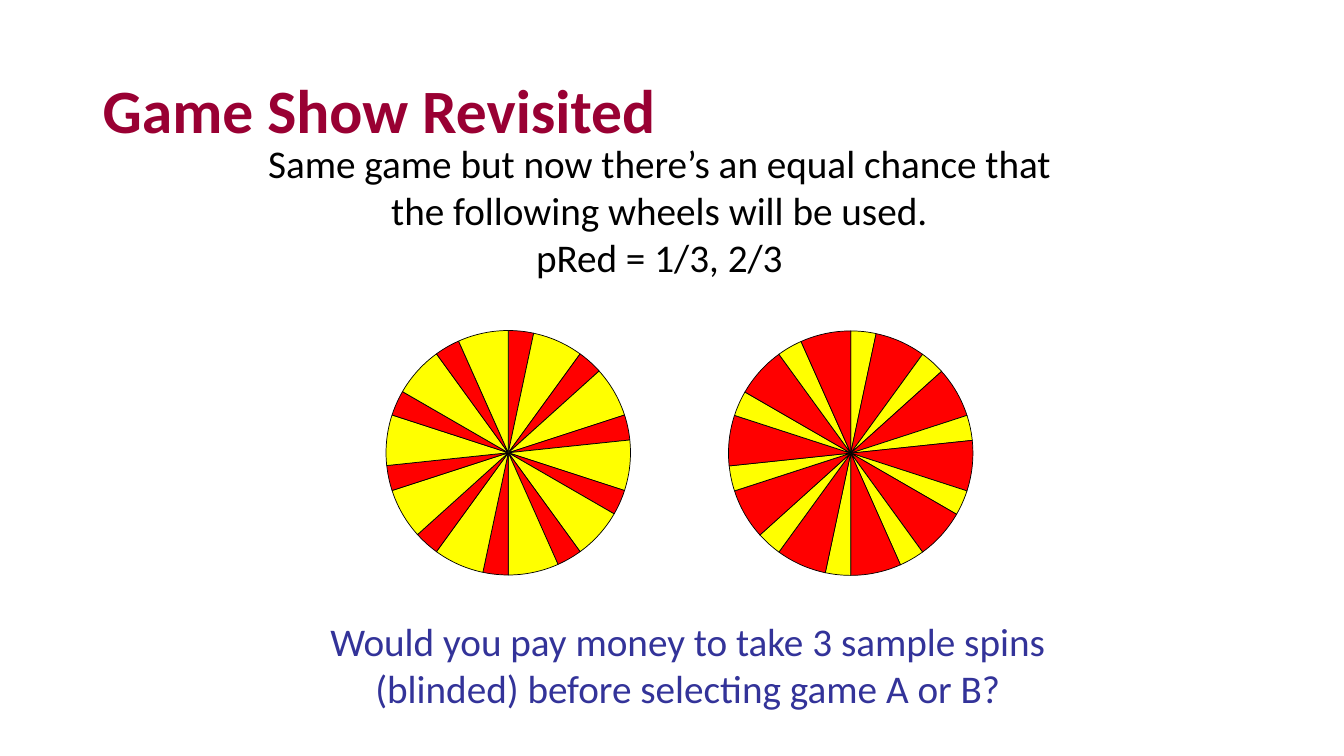
from math import cos, radians, sin

from pptx import Presentation
from pptx.dml.color import RGBColor
from pptx.enum.text import MSO_ANCHOR as Anchor, PP_ALIGN as Align
from pptx.util import Cm, Pt

RED = RGBColor(0xFF, 0x00, 0x00)
YELLOW = RGBColor(0xFF, 0xFF, 0x00)
BLACK = RGBColor(0x00, 0x00, 0x00)
WINE = RGBColor(0x99, 0x00, 0x33)
INDIGO = RGBColor(0x33, 0x33, 0x99)
FONT = "Calibri"

# Content: lines, place (left, top, width, height in cm), size, colour
TITLE = (["Game Show Revisited"], (2.34, 1.02, 29.21, 3.68), 44, WINE)
SETUP = (
    ["Same game but now there’s an equal chance that the following wheels will be used.",
     "pRed = 1/3, 2/3"],
    (5.92, 3.38, 21.39, 3.81), 28, BLACK)
ASK = (
    ["Would you pay money to take 3 sample spins (blinded) before selecting game A or B?"],
    (6.55, 15.42, 21.56, 2.79), 28, INDIGO)

# Wheels: centre x and y in cm, narrow colour, wide colour
WHEELS = [(12.81, 11.41, RED, YELLOW), (21.44, 11.42, YELLOW, RED)]
RADIUS = 3.08
PAIRS = 10
NARROW, WIDE = 12, 24  # degrees
STEP = 2


def add_text(slide, lines, place, size, color, align=Align.CENTER):
    frame = slide.shapes.add_textbox(*map(Cm, place)).text_frame
    frame.word_wrap = True
    frame.text = "\n".join(lines)
    for para in frame.paragraphs:
        para.alignment = align
        font = para.runs[0].font
        font.name, font.size = FONT, Pt(size)
        font.color.rgb = color
    return frame


def add_wedge(group, x, y, start, sweep, color):
    """Angles run clockwise from the top."""
    turns = [radians(a) for a in range(start, start + sweep + 1, STEP)]
    arc = [(Cm(x + RADIUS * sin(t)), Cm(y - RADIUS * cos(t))) for t in turns]
    pen = group.shapes.build_freeform(Cm(x), Cm(y))
    pen.add_line_segments(arc, close=True)
    wedge = pen.convert_to_shape()
    wedge.shadow.inherit = False
    wedge.fill.solid()
    wedge.fill.fore_color.rgb = color
    wedge.line.color.rgb = BLACK
    wedge.line.width = Pt(0.5)


def add_wheel(slide, x, y, thin, broad):
    group = slide.shapes.add_group_shape()
    for pair in range(PAIRS):
        start = pair * (NARROW + WIDE)
        add_wedge(group, x, y, start, NARROW, thin)
        add_wedge(group, x, y, start + NARROW, WIDE, broad)


def main():
    deck = Presentation()
    deck.slide_width, deck.slide_height = Cm(33.87), Cm(19.05)
    slide = deck.slides.add_slide(deck.slide_layouts[6])

    # Title
    title = add_text(slide, *TITLE, align=Align.LEFT)
    title.vertical_anchor = Anchor.MIDDLE
    title.paragraphs[0].line_spacing = 0.9
    title.paragraphs[0].runs[0].font.bold = True

    # Wheels
    for wheel in WHEELS:
        add_wheel(slide, *wheel)

    # Setup and question
    add_text(slide, *SETUP)
    add_text(slide, *ASK)

    deck.save("out.pptx")


if __name__ == "__main__":
    main()
